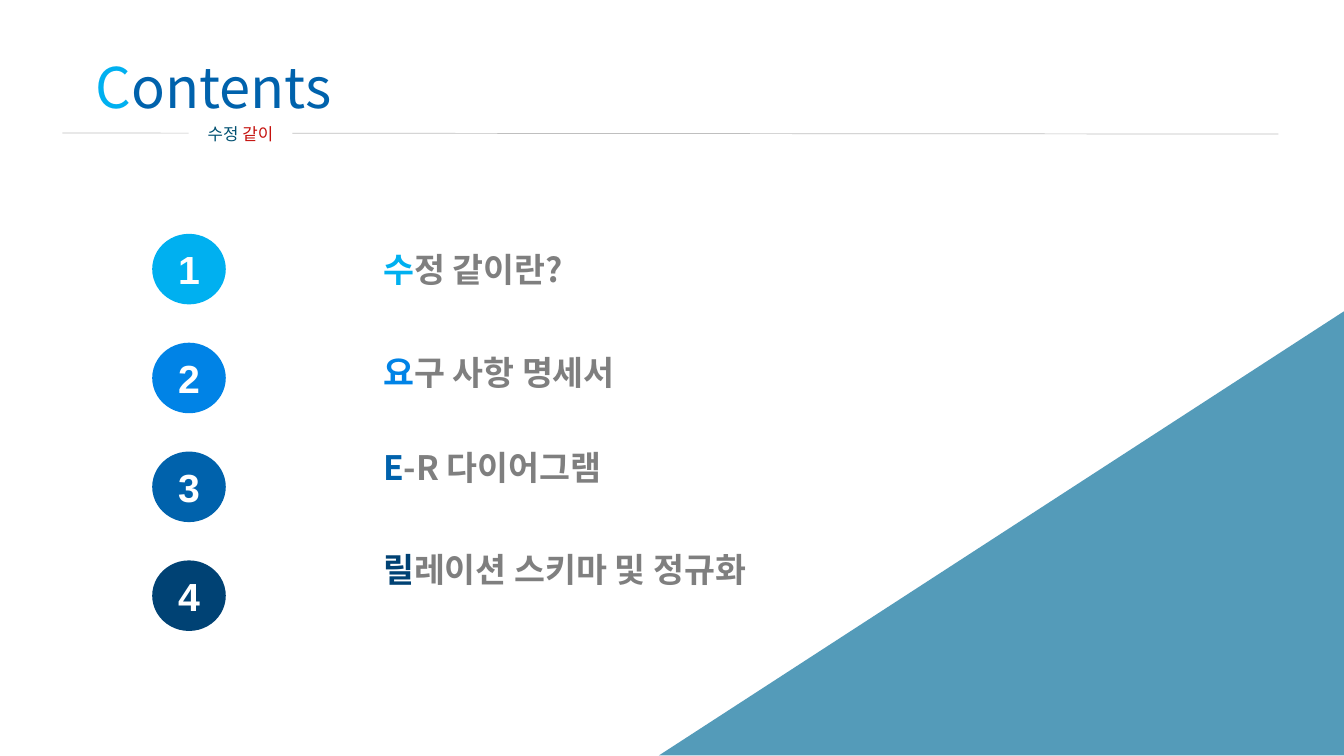
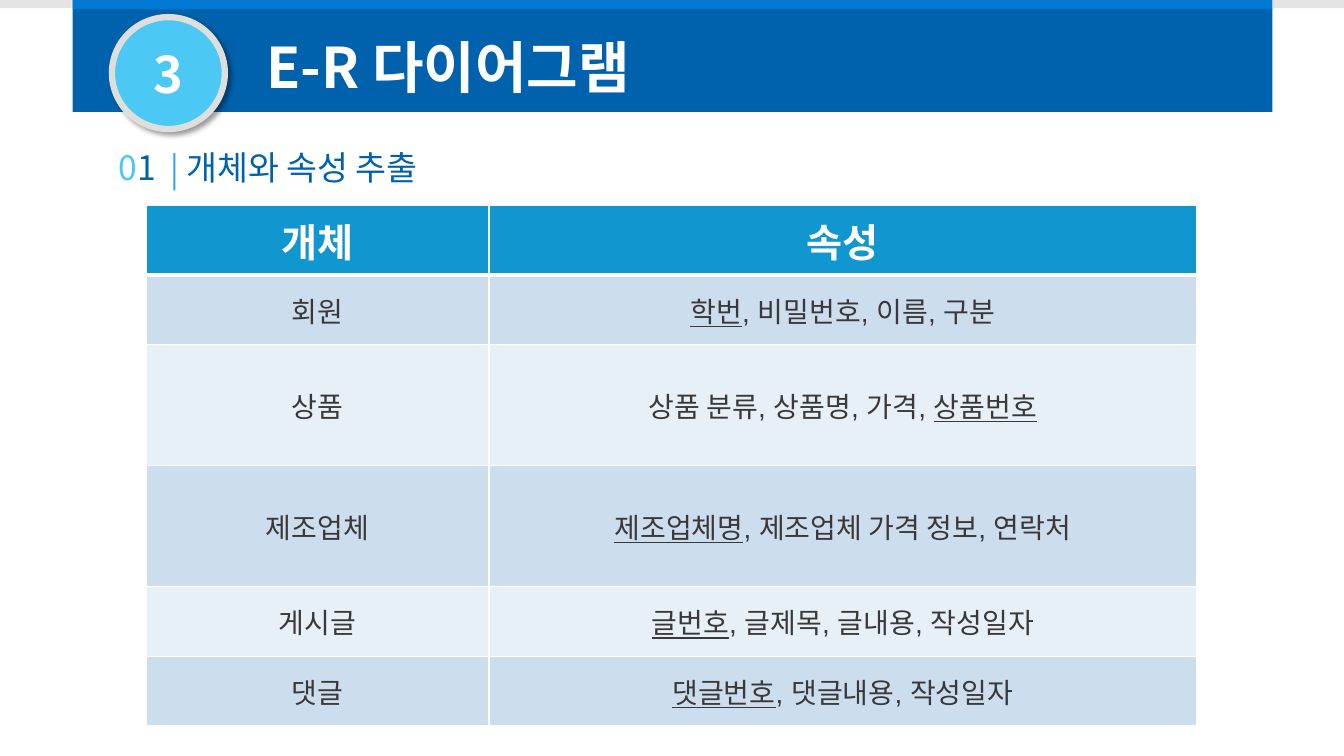
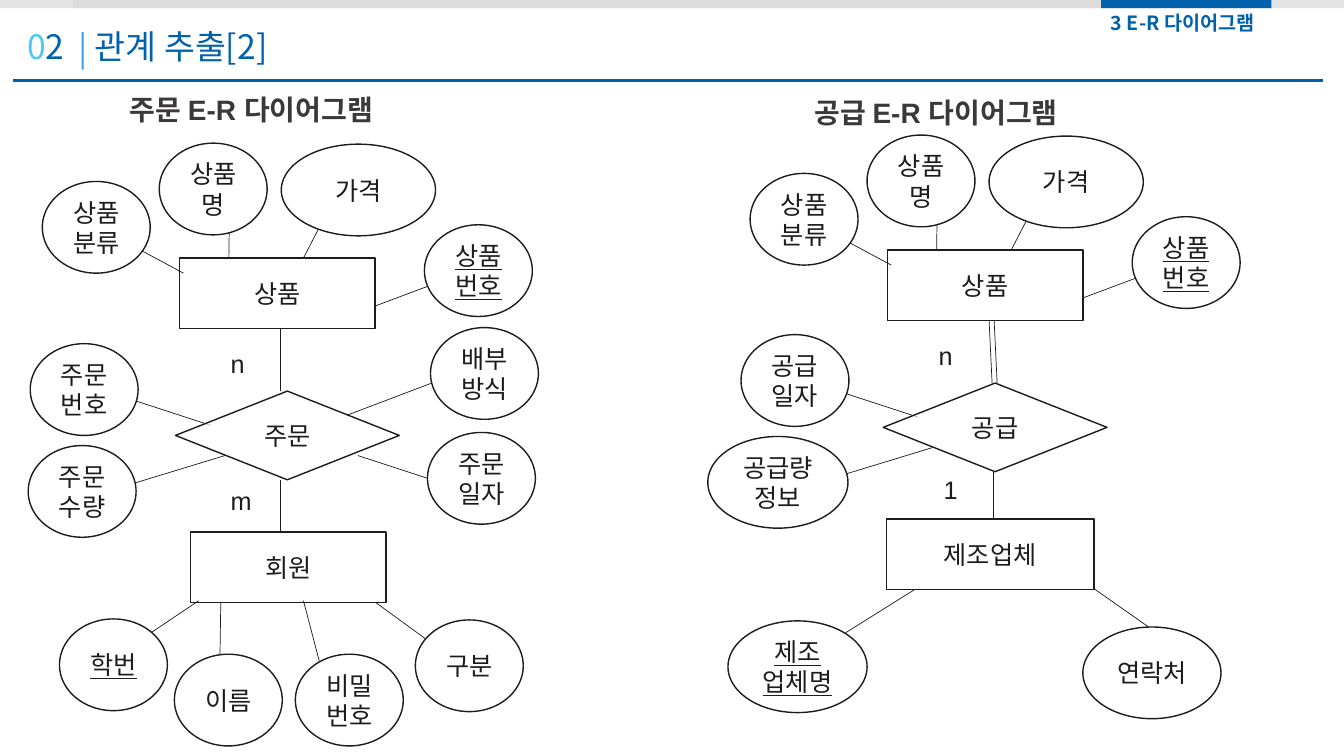
from dataclasses import dataclass

from lxml import etree
from pptx import Presentation
from pptx import util as u
from pptx.dml.color import RGBColor
from pptx.enum import shapes, text
from pptx.oxml.ns import qn

PX = 9144  # EMU per px, 100 px to the inch
SHAPE = shapes.MSO_SHAPE
LEFT, CENTER = text.PP_ALIGN.LEFT, text.PP_ALIGN.CENTER
TOP, MIDDLE = text.MSO_ANCHOR.TOP, text.MSO_ANCHOR.MIDDLE


@dataclass(frozen=True)
class Theme:
    sans: str = "Noto Sans CJK KR"
    arial: str = "Arial"
    white: str = "FFFFFF"
    sky: str = "00B0F0"
    bright: str = "0083E6"
    blue: str = "0062AC"
    navy: str = "004274"
    pale_blue: str = "4CC8F4"
    teal: str = "0C719C"
    gray: str = "7F7F7F"
    bar_gray: str = "D9D9D9"
    ring: str = "DEDEDE"
    rule: str = "BFBFBF"
    deep: str = "015071"
    red: str = "C5110D"
    ink: str = "1D1C1C"
    dark: str = "3A3838"
    header: str = "1097D0"
    bands: tuple = ("CCDDEE", "E7EFF7")
    title: int = 40
    badge: int = 36
    number: int = 28
    heading: int = 24
    caption: int = 20
    node: int = 18
    tag: int = 14
    note: int = 12


T = Theme()


def rgb(color):
    return RGBColor.from_string(color)


def px(*lengths):
    return [u.Emu(n * PX) for n in lengths]


def set_alpha(el, percent):
    color = next(el.iter(qn("a:srgbClr")))
    etree.SubElement(color, qn("a:alpha"), val=str(percent * 1000))


def format_paragraph(p, runs, size, font=T.sans, bold=False, align=LEFT, tab=None):
    """Fill p with (text, colour[, underline]) runs; tab is a stop in px."""
    p.alignment = align
    p.space_before = u.Pt(0)
    p.font.name, p.font.size, p.font.bold = font, u.Pt(size), bold
    pPr = p._p.get_or_add_pPr()
    defaults = pPr.find(qn("a:defRPr"))
    etree.SubElement(defaults, qn("a:ea"), typeface=T.sans)
    if tab:
        tabs = etree.Element(qn("a:tabLst"))
        etree.SubElement(tabs, qn("a:tab"), pos=str(tab * PX), algn="l")
        defaults.addprevious(tabs)
    for words, color, *underline in runs:
        r = p.add_run()
        r.text = words
        r.font.color.rgb = rgb(color)
        if underline:
            r.font.underline = underline[0]


def write(sp, paragraphs, size, anchor=TOP, **style):
    tf = sp.text_frame
    tf.word_wrap = True
    tf.auto_size = text.MSO_AUTO_SIZE.NONE
    tf.vertical_anchor = anchor
    for i, runs in enumerate(paragraphs):
        p = tf.add_paragraph() if i else tf.paragraphs[0]
        format_paragraph(p, runs, size, **style)


def add_text(s, box, runs, size, **style):
    write(s.shapes.add_textbox(*px(*box)), [runs], size, **style)


def place(sp, box):
    sp.left, sp.top, sp.width, sp.height = px(*box)


def add_title(s, box, runs, size, **style):
    """Use the title placeholder, brought in front of the shapes drawn so far."""
    sp = s.shapes.title
    place(sp, box)
    write(sp, [runs], size, **style)
    s.shapes._spTree.append(sp._element)


def add_shape(s, kind, box, fill, alpha=None, line=None, weight=1):
    sp = s.shapes.add_shape(kind, *px(*box))
    sp.shadow.inherit = False
    sp.fill.solid()
    sp.fill.fore_color.rgb = rgb(fill)
    if alpha:
        set_alpha(sp._element.spPr, alpha)
    if line:
        sp.line.color.rgb = rgb(line)
        sp.line.width = u.Pt(weight)
    else:
        sp.line.fill.background()
    return sp


def add_line(s, ends, color=T.ink, weight=0.5, alpha=None):
    sp = s.shapes.add_connector(shapes.MSO_CONNECTOR.STRAIGHT, *px(*ends))
    sp.line.color.rgb = rgb(color)
    sp.line.width = u.Pt(weight)
    if alpha:
        set_alpha(sp._element.spPr, alpha)
    etree.SubElement(sp._element.spPr, qn("a:effectLst"))


def section_heading(s, x, y, number, words, as_title=False):
    """Two-coloured number, thin bar and section name."""
    add = add_title if as_title else add_text
    runs = [("0", T.pale_blue), (f"{number}\t{words}", T.blue)]
    add(s, (x, y, 600, 50), runs, T.heading, tab=67)
    add_line(s, (x + 65, y + 11, x + 65, y + 48), T.bright, 1.5, alpha=78)


# Contents slide

def contents_header(s, x, y):
    add_title(s, (x + 23, y, 699, 77), [("C", T.sky), ("ontents", T.blue)], T.title)
    add_line(s, (x, y + 85, x + 1206, y + 86), T.rule)
    tag = add_shape(s, SHAPE.RECTANGLE, (x + 125, y + 71, 103, 30), T.white)
    write(tag, [[("수정 ", T.deep), ("같이", T.red)]], T.note, align=CENTER)


def contents_list(s, x, y, items):
    """Numbered discs beside the body list; items are (first, rest, colour, gap in pt)."""
    body = s.placeholders[1]
    place(body, (x + 219, y + 10, 500, 400))
    write(body, [[(first, color), (rest, T.gray)] for first, rest, color, _ in items],
          T.heading, bold=True)
    for i, (p, (_, _, color, gap)) in enumerate(zip(body.text_frame.paragraphs, items)):
        p.space_before = u.Pt(gap)
        pPr = p._p.pPr
        pPr.set("marL", "0")
        pPr.set("indent", "0")
        pPr.find(qn("a:defRPr")).addprevious(etree.Element(qn("a:buNone")))
        disc = add_shape(s, SHAPE.OVAL, (x, y + 108 * i, 73, 70), color)
        write(disc, [[(str(i + 1), T.white)]], T.number, MIDDLE,
              font=T.arial, bold=True, align=CENTER)


def contents_slide(prs):
    s = prs.slides.add_slide(prs.slide_layouts[1])
    contents_header(s, 62, 47)
    corner = add_shape(s, SHAPE.RIGHT_TRIANGLE, (773, 189, 441, 680), T.teal, alpha=70)
    corner.rotation = 270
    contents_list(s, 151, 232, [
        ("수", "정 같이란?", T.sky, 0),
        ("요", "구 사항 명세서", T.bright, 44.4),
        ("E", "-R 다이어그램", T.blue, 39.4),
        ("릴", "레이션 스키마 및 정규화", T.navy, 43.7),
    ])


# Table slide

def chapter_band(s, x, width, number, words):
    add_shape(s, SHAPE.RECTANGLE, (x, 0, width, 111), T.blue)
    badge = add_shape(s, SHAPE.OVAL, (x + 39, 17, 112, 111), T.pale_blue,
                      line=T.ring, weight=4.5)
    shadow = etree.SubElement(
        badge._element.spPr.find(qn("a:effectLst")), qn("a:outerShdw"),
        blurRad=str(u.Pt(4)), dist=str(u.Pt(3)), dir="2700000", algn="tl", rotWithShape="0")
    etree.SubElement(shadow, qn("a:srgbClr"), val="000000")
    set_alpha(shadow, 40)
    write(badge, [[(number, T.white)]], T.badge, MIDDLE, bold=True, align=CENTER)
    add_title(s, (x + 182, 27, 408, 77), [(words, T.white)], T.title, bold=True)
    add_shape(s, SHAPE.RECTANGLE, (x, 0, width, 9), T.bright, alpha=70)
    for left in (0, x + width):
        add_shape(s, SHAPE.RECTANGLE, (left, 0, 71, 8), T.bar_gray, alpha=70)


def set_borders(cell, bottom):
    tcPr = cell._tc.get_or_add_tcPr()
    for i, (side, weight) in enumerate(zip("LRTB", (1, 1, 1, bottom))):
        ln = etree.Element(qn(f"a:ln{side}"), w=str(u.Pt(weight)))
        fill = etree.SubElement(ln, qn("a:solidFill"))
        etree.SubElement(fill, qn("a:srgbClr"), val=T.white)
        tcPr.insert(i, ln)


def attribute_runs(names, key):
    """Comma-separated names, with the key underlined."""
    before, after = names.split(key)
    parts = [(before, False), (key, True), (after, False)]
    return [(words, T.dark, mark) for words, mark in parts if words]


def entity_table(s, x, y, widths, heights, header, rows):
    frame = s.shapes.add_table(len(heights), len(widths),
                               *px(x, y, sum(widths), sum(heights)))
    table = frame.table
    for col, width in zip(table.columns, widths):
        col.width = u.Emu(width * PX)
    lines = [[[(words, T.white)] for words in header]]
    lines += [[[(name, T.dark)], attribute_runs(names, key)] for name, names, key in rows]
    for i, (row, height, line) in enumerate(zip(table.rows, heights, lines)):
        row.height = u.Emu(height * PX)
        for cell, runs in zip(row.cells, line):
            cell.fill.solid()
            cell.fill.fore_color.rgb = rgb(T.bands[(i - 1) % 2] if i else T.header)
            cell.vertical_anchor = MIDDLE
            set_borders(cell, 1 if i else 3)
            format_paragraph(cell.text_frame.paragraphs[0], runs,
                             T.caption if i else T.number,
                             font=T.arial, bold=not i, align=CENTER)


def table_slide(prs):
    s = prs.slides.add_slide(prs.slide_layouts[5])
    chapter_band(s, 72, 1190, "3", "E-R 다이어그램")
    section_heading(s, 108, 141, 1, "개체와 속성 추출")
    entity_table(s, 145, 204, (340, 702), (69, 69, 120, 120, 69, 69), ("개체", "속성"), [
        ("회원", "학번, 비밀번호, 이름, 구분", "학번"),
        ("상품", "상품 분류, 상품명, 가격, 상품번호", "상품번호"),
        ("제조업체", "제조업체명, 제조업체 가격 정보, 연락처", "제조업체명"),
        ("게시글", "글번호, 글제목, 글내용, 작성일자", "글번호"),
        ("댓글", "댓글번호, 댓글내용, 작성일자", "댓글번호"),
    ])


# Diagram slide

PRODUCT = ("상품", 178, 169, 194)
PRODUCT_ATTRIBUTES = [
    ("상품명", 158, 55, 107), ("가격", 279, 56, 153),
    ("상품번호", 421, 136, 107, True), ("상품분류", 42, 93, 107),
]
SHARED_LINKS = [
    (228, 92, 227, 169), (335, 103, 301, 169), (459, 184, 371, 217), (128, 155, 182, 184),
    (223, 365, 118, 397), (209, 335, 117, 305),
]


def add_node(s, kind, box, words, key=False, alpha=None):
    sp = add_shape(s, kind, box, T.white, alpha, line=T.ink)
    write(sp, [[(line, T.ink, key)] for line in words.split("\n")], T.node, MIDDLE,
          font=T.arial, align=CENTER)


def er_diagram(s, x, y, caption, relation, entity, attributes, links, labels):
    """Product above, relation in the middle, second entity below."""
    words, left, top = caption
    add_text(s, (x + left, y + top, 288, 44), [(words, T.dark)], T.caption,
             font=T.arial, bold=True)
    for name, left, top, width in (PRODUCT, entity):
        add_node(s, SHAPE.RECTANGLE, (x + left, y + top, width, 70), name)
    for x1, y1, x2, y2 in SHARED_LINKS + links:
        add_line(s, (x + x1, y + y1, x + x2, y + y2))
    for name, left, top, width, *key in PRODUCT_ATTRIBUTES + attributes:
        add_node(s, SHAPE.OVAL, (x + left, y + top, width, 91), name, bool(key))
    add_node(s, SHAPE.DIAMOND, (x + 174, y + 301, 222, 88), relation, alpha=70)
    for words, left, top in labels:
        add_text(s, (x + left, y + top, 39, 40), [(words, T.ink)], T.node, font=T.arial)


def chapter_tab(s, x, words):
    for left in (0, 72):
        add_shape(s, SHAPE.RECTANGLE, (left, 0, 1261, 8), T.bar_gray, alpha=70)
    add_shape(s, SHAPE.RECTANGLE, (x, 0, 169, 8), T.blue)
    add_text(s, (x, 6, 173, 34), [(words, T.blue)], T.tag, bold=True)


def diagram_slide(prs):
    s = prs.slides.add_slide(prs.slide_layouts[5])
    chapter_tab(s, 1092, "3 E-R 다이어그램")
    section_heading(s, 17, 21, 2, "관계 추출[2]", as_title=True)
    add_line(s, (13, 80, 1312, 80), T.blue, 2.25)
    er_diagram(
        s, 0, 87, ("주문 E-R 다이어그램", 119, 0), "주문", ("회원", 189, 441, 194),
        attributes=[
            ("학번", 59, 527, 107, True), ("이름", 173, 562, 107),
            ("비밀번호", 293, 562, 107), ("구분", 412, 528, 107),
            ("배부방식", 427, 238, 107), ("주문일자", 424, 342, 107),
            ("주문수량", 28, 355, 107), ("주문번호", 30, 254, 107),
        ],
        links=[
            (278, 239, 278, 301), (278, 389, 278, 441), (197, 509, 139, 548),
            (219, 511, 218, 575), (301, 509, 318, 574), (373, 511, 432, 554),
            (447, 395, 355, 365), (431, 292, 344, 325),
        ],
        labels=[("n", 219, 254), ("m", 219, 390)])
    er_diagram(
        s, 702, 79, ("공급 E-R 다이어그램", 96, 11), "공급", ("제조업체", 177, 436, 206),
        attributes=[
            ("제조\n업체명", 20, 537, 138, True), ("연락처", 372, 543, 137),
            ("공급량정보", 0, 354, 139), ("공급일자", 33, 253, 107),
        ],
        links=[
            (279, 239, 282, 301), (284, 239, 287, 301), (283, 389, 283, 436),
            (205, 506, 130, 553), (383, 505, 440, 545),
        ],
        labels=[("n", 219, 254), ("1", 224, 387)])


def main():
    prs = Presentation()
    prs.slide_width, prs.slide_height = px(1333, 750)
    contents_slide(prs)
    table_slide(prs)
    diagram_slide(prs)
    prs.save("out.pptx")


if __name__ == "__main__":
    main()
